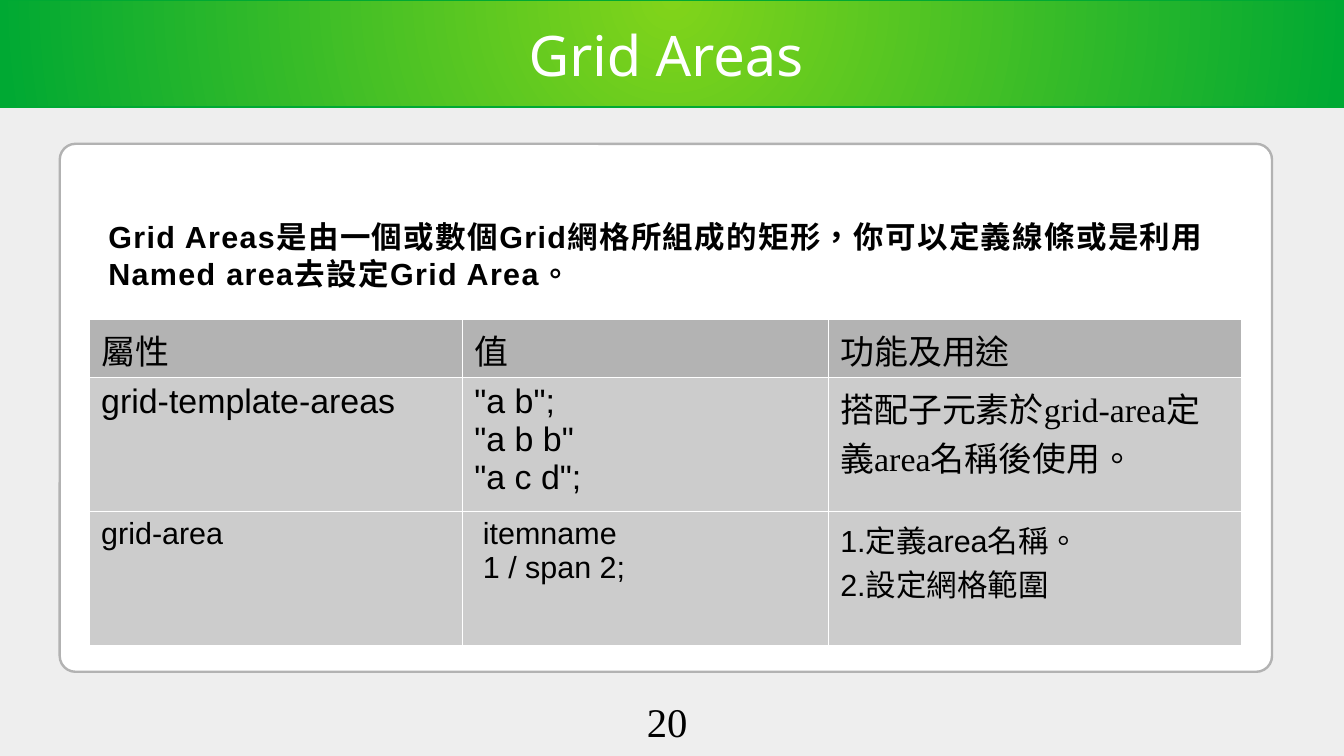
from dataclasses import dataclass

from lxml.etree import SubElement
from pptx import Presentation
from pptx.dml.color import RGBColor
from pptx.enum.lang import MSO_LANGUAGE_ID as Language
from pptx.enum.shapes import MSO_SHAPE as Shape
from pptx.enum.text import MSO_ANCHOR as Anchor, PP_ALIGN as Align
from pptx.oxml.ns import qn
from pptx.util import Inches, Pt


@dataclass(frozen=True)
class Theme:
    page: str = "EEEEEE"
    card: str = "FFFFFF"
    card_edge: str = "B2B2B2"
    band_center: str = "81D41A"
    band_edge: str = "00A933"
    title: str = "FFFFFF"
    text: str = "000000"
    header: str = "B3B3B3"
    body: str = "CCCCCC"
    rule: str = "FFFFFF"
    title_size: float = 33
    number_size: float = 24
    table_size: float = 20
    small_size: float = 18
    outline: float = 1.42
    hairline: float = 0.06
    title_font: str = "Noto Sans"
    sans: str = "Arial"
    serif: str = "Times New Roman"


COLUMNS, ROWS = 110.2, 62
PITCH = 0.1  # inches per grid column and row


def grid(*counts):
    """Turn counts of grid columns or rows into lengths."""
    return [Inches(count * PITCH) for count in counts]


def color(value):
    return RGBColor.from_string(value)


class SlideBuilder:
    def __init__(self, presentation, theme):
        self.theme = theme
        self.slide = presentation.slides.add_slide(presentation.slide_layouts[6])
        fill = self.slide.background.fill
        fill.solid()
        fill.fore_color.rgb = color(theme.page)

    def panel(self, kind, box, edge):
        shape = self.slide.shapes.add_shape(kind, *grid(*box))
        shape.shadow.inherit = False
        shape.line.color.rgb = color(edge)
        shape.line.width = Pt(self.theme.outline)
        return shape

    def band(self, box):
        """Draw a bar with a gradient that spreads from its top centre."""
        shape = self.panel(Shape.RECTANGLE, box, self.theme.band_edge)
        shape.fill.gradient()
        stops = shape.fill.gradient_stops
        for stop, position, value in zip(
            stops, (0, 1), (self.theme.band_center, self.theme.band_edge)
        ):
            stop.position = position
            stop.color.rgb = color(value)
        gradient = shape.element.spPr.find(qn("a:gradFill"))
        gradient.remove(gradient.find(qn("a:lin")))
        circle = SubElement(gradient, qn("a:path"), path="circle")
        SubElement(circle, qn("a:fillToRect"), l="50000", t="0", r="50000", b="100000")

    def card(self, box):
        shape = self.panel(Shape.ROUNDED_RECTANGLE, box, self.theme.card_edge)
        shape.adjustments[0] = 0.03
        shape.fill.solid()
        shape.fill.fore_color.rgb = color(self.theme.card)

    def set_text(self, frame, text, font, size, value=None, align=None, bold=False, spacing=0):
        frame.text = text
        frame.word_wrap = True
        for paragraph in frame.paragraphs:
            paragraph.alignment = align
            for run in paragraph.runs:
                run.font.name = font
                run.font.size = Pt(size)
                run.font.bold = bold
                run.font.language_id = Language.TRADITIONAL_CHINESE
                run.font.color.rgb = color(value or self.theme.text)
                if spacing:
                    run.font._element.set("spc", str(round(spacing * 100)))

    def text(self, box, text, font, size, anchor=Anchor.TOP, **style):
        frame = self.slide.shapes.add_textbox(*grid(*box)).text_frame
        frame.vertical_anchor = anchor
        self.set_text(frame, text, font, size, **style)

    def borders(self, cell):
        properties = cell._tc.get_or_add_tcPr()
        for side in "LRTB":
            line = SubElement(
                properties, qn(f"a:ln{side}"), w=str(Pt(self.theme.hairline))
            )
            fill = SubElement(line, qn("a:solidFill"))
            SubElement(fill, qn("a:srgbClr"), val=self.theme.rule)

    def table(self, left, top, widths, heights, cells):
        """Draw a table whose cells are (text, font, size, left inset)."""
        box = grid(left, top, sum(widths), sum(heights))
        table = self.slide.shapes.add_table(len(heights), len(widths), *box).table
        table.first_row = table.horz_banding = False
        for column, width in zip(table.columns, grid(*widths)):
            column.width = width
        for row, height in zip(table.rows, grid(*heights)):
            row.height = height
        for row_index, row in enumerate(cells):
            for column_index, (text, font, size, inset) in enumerate(row):
                cell = table.cell(row_index, column_index)
                self.borders(cell)
                cell.fill.solid()
                cell.fill.fore_color.rgb = color(
                    self.theme.body if row_index else self.theme.header
                )
                cell.margin_left = Inches(inset)
                self.set_text(cell.text_frame, text, font, size)


def main():
    presentation = Presentation()
    presentation.slide_width, presentation.slide_height = grid(COLUMNS, ROWS)
    theme = Theme()
    builder = SlideBuilder(presentation, theme)

    builder.band((0, 0, COLUMNS, 8.8))
    builder.card((4.9, 11.8, 99.4, 43.3))
    builder.text(
        (4.9, 1, 99.4, 6.9), "Grid Areas", theme.title_font, theme.title_size,
        anchor=Anchor.MIDDLE, value=theme.title, align=Align.CENTER,
    )
    builder.text(
        (7.9, 17.4, 94.5, 8),
        "Grid Areas是由一個或數個Grid網格所組成的矩形，"
        "你可以定義線條或是利用Named area去設定Grid Area。",
        theme.sans, theme.small_size, bold=True, spacing=0.8,
    )

    inset, indented = 0.1, 0.17
    header = [
        (text, theme.serif, theme.table_size, inset)
        for text in ("屬性", "值", "功能及用途")
    ]
    template_areas = [
        ("grid-template-areas", theme.sans, theme.table_size, inset),
        ('"a b";\n"a b b"\n"a c d";', theme.sans, theme.table_size, inset),
        ("搭配子元素於grid-area定義area名稱後使用。", theme.serif, theme.table_size, inset),
    ]
    area = [
        ("grid-area", theme.sans, theme.small_size, inset),
        ("itemname\n1 / span 2;", theme.sans, theme.small_size, indented),
        ("1.定義area名稱。\n2.設定網格範圍", theme.sans, theme.small_size, inset),
    ]
    builder.table(
        7.3, 26.2, (30.6, 30, 33.9), (4.7, 10.8, 11), (header, template_areas, area)
    )

    builder.text(
        (39.4, 56.7, 30.6, 4.7), "20", theme.serif, theme.number_size, align=Align.CENTER
    )
    presentation.save("out.pptx")


if __name__ == "__main__":
    main()
